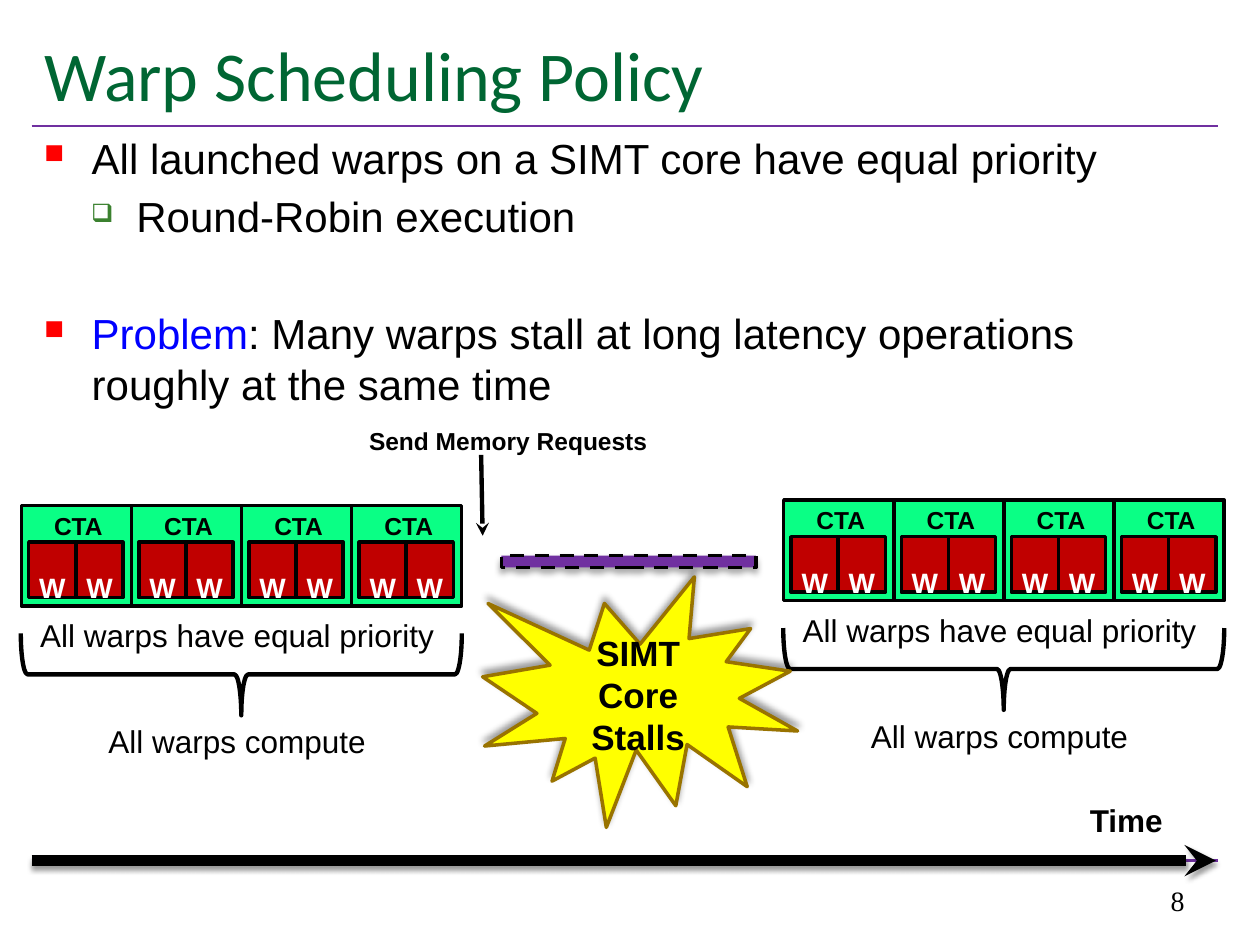
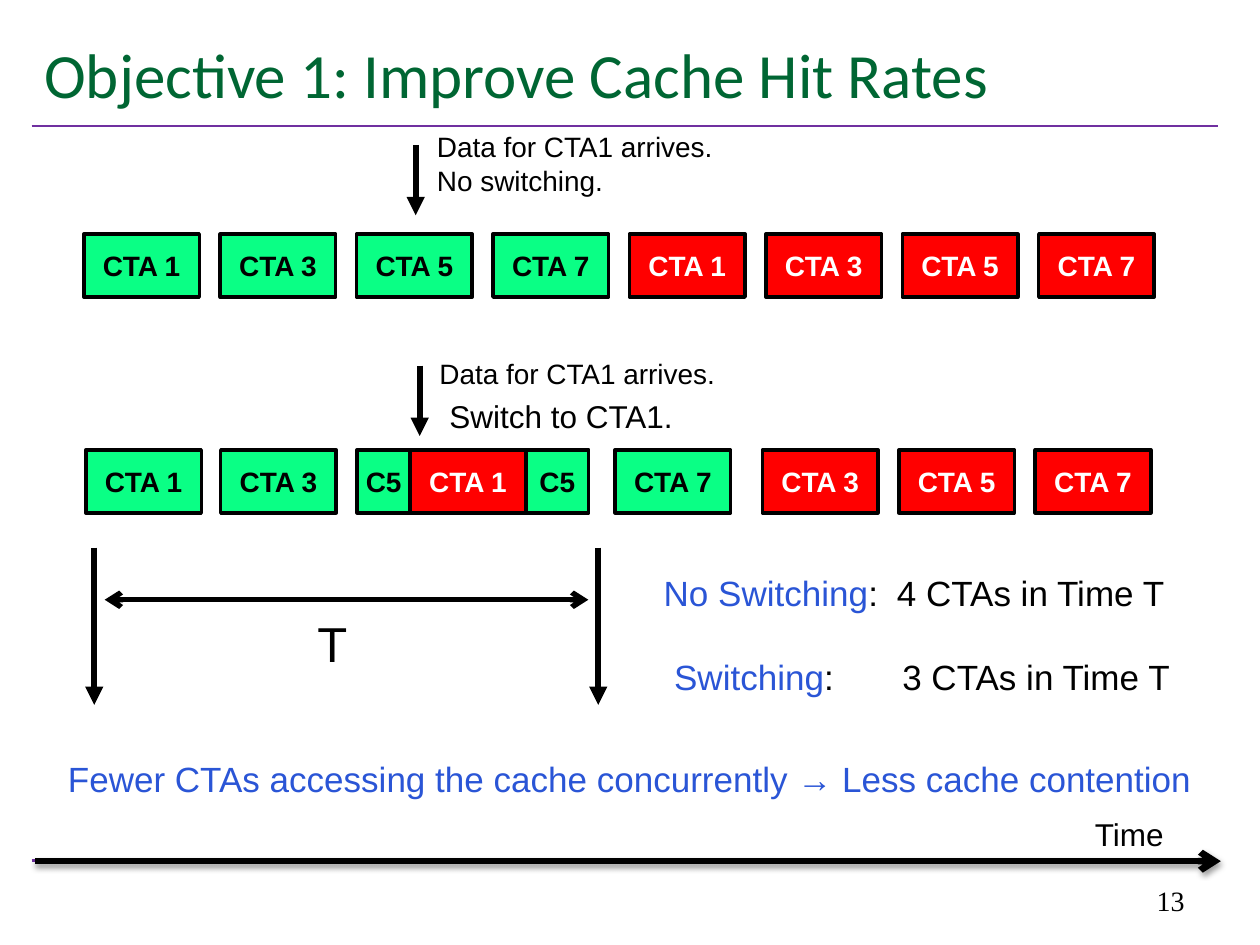
from lxml import etree
from pptx import Presentation
from pptx.dml.color import RGBColor
from pptx.enum.dml import MSO_LINE
from pptx.enum.shapes import MSO_CONNECTOR, MSO_SHAPE
from pptx.enum.text import MSO_ANCHOR, MSO_AUTO_SIZE, PP_ALIGN
from pptx.oxml.ns import qn
from pptx.util import Cm, Pt

RECT, BRACE, BURST = MSO_SHAPE.RECTANGLE, MSO_SHAPE.LEFT_BRACE, MSO_SHAPE.EXPLOSION1
STRAIGHT, DASH = MSO_CONNECTOR.STRAIGHT, MSO_LINE.DASH
LEFT, CENTER, RIGHT = PP_ALIGN.LEFT, PP_ALIGN.CENTER, PP_ALIGN.RIGHT
TOP, MIDDLE, BOTTOM = MSO_ANCHOR.TOP, MSO_ANCHOR.MIDDLE, MSO_ANCHOR.BOTTOM
FIXED = MSO_AUTO_SIZE.NONE

BLACK = RGBColor(0x00, 0x00, 0x00)
WHITE = RGBColor(0xFF, 0xFF, 0xFF)
TITLE_GREEN = RGBColor(0x00, 0x66, 0x33)
PURPLE = RGBColor(0x70, 0x30, 0xA0)
CTA_GREEN = RGBColor(0x0A, 0xFF, 0x85)
WARP_RED = RGBColor(0xC0, 0x00, 0x00)
RED = RGBColor(0xFF, 0x00, 0x00)
BULLET_GREEN = RGBColor(0x3B, 0x81, 0x2F)
PROBLEM_BLUE = RGBColor(0x00, 0x00, 0xFF)
BLUE = RGBColor(0x2A, 0x55, 0xD6)
YELLOW = RGBColor(0xFF, 0xFF, 0x00)
BURST_EDGE = RGBColor(0x99, 0x73, 0x00)


def add_box(slide, place, paragraphs=(), size=18, bold=False, align=LEFT, anchor=TOP,
            inset=0.25, kind=None, fill=None, edge=BLACK, weight=2, font="Arial"):
    lengths = [Cm(value) for value in place]
    if kind is None:
        box = slide.shapes.add_textbox(*lengths)
    else:
        box = slide.shapes.add_shape(kind, *lengths)
        box.shadow.inherit = False
        box.line.color.rgb = edge
        box.line.width = Pt(weight)
        if fill is None:
            box.fill.background()
        else:
            box.fill.solid()
            box.fill.fore_color.rgb = fill
    frame = box.text_frame
    frame.word_wrap = True
    frame.vertical_anchor = anchor
    frame.margin_left = frame.margin_right = Cm(inset)
    frame.margin_top = frame.margin_bottom = Cm(inset / 2)
    for index, runs in enumerate(paragraphs):
        paragraph = frame.add_paragraph() if index else frame.paragraphs[0]
        paragraph.alignment = align
        for text, color in runs:
            run = paragraph.add_run()
            run.text = text
            run.font.name = font
            run.font.size = Pt(size)
            run.font.bold = bold
            run.font.color.rgb = color
    return box


def add_line(slide, x1, y1, x2, y2, weight, color=BLACK, head=None, tail=None):
    line = slide.shapes.add_connector(STRAIGHT, Cm(x1), Cm(y1), Cm(x2), Cm(y2))
    line.line.color.rgb = color
    line.line.width = Pt(weight)
    for end, style in (("a:headEnd", head), ("a:tailEnd", tail)):
        if style:
            etree.SubElement(line.line._get_or_add_ln(), qn(end), type=style)
    etree.SubElement(line.element.spPr, qn("a:effectLst"))
    return line


prs = Presentation()
prs.slide_width, prs.slide_height = Cm(25.4), Cm(19.05)
slides = []
for heading, heading_size, number in (
    ("Warp Scheduling Policy", 40, "8"),
    ("Objective 1: Improve Cache Hit Rates", 36, "13"),
):
    slide = prs.slides.add_slide(prs.slide_layouts[5])
    slides.append(slide)
    for rule_y in (17.35, 2.54):
        add_line(slide, 0.64, rule_y, 24.56, rule_y, 1.5, PURPLE)
    title = slide.shapes.title
    title.left, title.top, title.width, title.height = Cm(0.64), Cm(0.43), Cm(24), Cm(2.11)
    title.text_frame.text = heading
    title.text_frame.auto_size = FIXED
    title.text_frame.vertical_anchor = MIDDLE
    title.text_frame.paragraphs[0].alignment = LEFT
    title_font = title.text_frame.paragraphs[0].runs[0].font
    title_font.name, title_font.size = "Calibri", Pt(heading_size)
    title_font.color.rgb = TITLE_GREEN
    add_box(slide, (18.21, 17.35, 5.92, 1.27), [[(number, BLACK)]], 16,
            align=RIGHT, anchor=BOTTOM, font="Times New Roman")
policy, objective = slides

points = add_box(policy, (0.64, 2.54, 23.93, 7), [
    [("All launched warps on a SIMT core have equal priority", BLACK)],
    [("Round-Robin execution", BLACK)],
    [("Problem", PROBLEM_BLUE),
     (": Many warps stall at long latency operations roughly at the same time", BLACK)],
], 24)
bullets = (
    ("■", RED, 65, 0.96, 0.96, 0),
    ("❑", BULLET_GREEN, 60, 1.86, 0.91, 4.8),
    ("■", RED, 65, 0.96, 0.96, 38),
)
for point, (mark, color, percent, margin, hang, gap) in zip(points.text_frame.paragraphs, bullets):
    point.space_before = Pt(gap)
    props = point._p.get_or_add_pPr()
    props.set("marL", str(Cm(margin)))
    props.set("indent", str(-Cm(hang)))
    bullet_color = etree.SubElement(props, qn("a:buClr"))
    etree.SubElement(bullet_color, qn("a:srgbClr"), val=str(color))
    etree.SubElement(props, qn("a:buSzPct"), val=str(percent * 1000))
    etree.SubElement(props, qn("a:buChar"), char=mark)

for core_x, core_y in ((0.43, 10.19), (15.8, 10.08)):
    for cta in range(4):
        cta_x = core_x + cta * 2.22
        add_box(policy, (cta_x, core_y, 2.22, 2.03), kind=RECT, fill=CTA_GREEN)
        for warp_dx in (1.1, 0.15):
            warp = add_box(policy, (cta_x + warp_dx, core_y + 0.74, 0.95, 1.12), [[("W", WHITE)]],
                           16, True, CENTER, inset=0, kind=RECT, fill=WARP_RED)
            warp.text_frame.margin_top = Cm(0.58)
        add_box(policy, (cta_x + 0.41, core_y - 0.02, 1.52, 0.86), [[("CTA", BLACK)]], 14, True)
    brace = add_box(policy, (core_x + 3.61, core_y - 1.04, 1.65, 8.89), kind=BRACE, weight=2.5)
    brace.rotation = 270
    add_box(policy, (core_x + 0.64, core_y + 4.24, 7.42, 1.02),
            [[("All warps compute", BLACK)]], align=CENTER)
    add_box(policy, (core_x + 0.13, core_y + 2.11, 8.89, 1.02),
            [[("All warps have equal priority", BLACK)]])

add_box(policy, (7.19, 8.46, 6.15, 0.86), [[("Send Memory Requests", BLACK)]], 14, True)
stall = add_box(policy, (9.73, 11.63, 6.35, 5.05), [[("SIMT Core Stalls", BLACK)]], 20, True,
                CENTER, MIDDLE, kind=BURST, fill=YELLOW, edge=BURST_EDGE)
policy_time = add_line(policy, 0.64, 17.35, 24.51, 17.35, 6, tail="stealth")
add_box(policy, (21.72, 16.03, 3.6, 1.02), [[("Time", BLACK)]], bold=True)
add_line(policy, 9.7, 9.17, 9.73, 10.8, 2.5, tail="stealth")
latency = add_box(policy, (10.11, 11.2, 5.13, 0.24), kind=RECT, fill=PURPLE)
latency.line.dash_style = DASH

ctas = ("CTA 1", "CTA 3", "CTA 5", "CTA 7")
schedule = [(1.69 + 2.75 * slot, 4.72, 2.33, ctas[slot % 4], slot > 3) for slot in range(8)]
schedule += [
    (1.73, 9.07, 2.33, "CTA 1", False),
    (4.45, 9.07, 2.33, "CTA 3", False),
    (7.2, 9.07, 1.07, "C5", False),
    (12.4, 9.07, 2.33, "CTA 7", False),
    (8.27, 9.07, 2.33, "CTA 1", True),
    (10.6, 9.07, 1.27, "C5", False),
]
schedule += [(15.37 + 2.75 * slot, 9.07, 2.33, cta, True) for slot, cta in enumerate(ctas[1:])]
for x, y, width, cta, second_round in schedule:
    add_box(objective, (x, y, width, 1.27), [[(cta, WHITE if second_round else BLACK)]], 16, True,
            CENTER, MIDDLE, inset=0, kind=RECT, fill=RED if second_round else CTA_GREEN)

add_box(objective, (8.81, 2.62, 7.26, 1.37),
        [[("Data for CTA1 arrives.", BLACK)], [("No switching.", BLACK)]], 16, inset=0)
add_box(objective, (8.86, 7.19, 8.69, 0.69), [[("Data for CTA1 arrives.", BLACK)]], 16, inset=0)
add_box(objective, (8.81, 7.87, 5.05, 1.02), [[("Switch to CTA1.", BLACK)]])
for x, top, bottom in ((8.38, 2.92, 4.34), (8.46, 7.37, 8.79), (1.9, 11.04, 14.21), (12.06, 11.04, 14.21)):
    add_line(objective, x, top, x, bottom, 3.5, tail="triangle")
add_line(objective, 2.11, 12.09, 11.86, 12.09, 3, head="arrow", tail="arrow")
add_box(objective, (6.15, 12.24, 2.97, 1.45), [[("T", BLACK)]], 28)

for x, y, term, count, stop in (
    (13.13, 11.4, "No Switching", "4 CTAs in Time T", 4.7),
    (13.34, 13.08, "Switching", "3 CTAs in Time T", 4.6),
):
    result = add_box(objective, (x, y, 11.3, 1.12), [[(term, BLUE), (":\t" + count, BLACK)]], 20)
    props = result.text_frame.paragraphs[0]._p.get_or_add_pPr()
    tabs = etree.SubElement(props, qn("a:tabLst"))
    etree.SubElement(tabs, qn("a:tab"), pos=str(Cm(stop)), algn="l")

add_box(objective, (1.12, 15.14, 24.2, 1.12),
        [[("Fewer CTAs accessing the cache concurrently → Less cache contention", BLUE)]], 20)
objective_time = add_line(objective, 0.71, 17.36, 24.61, 17.36, 3.75, tail="arrow")
add_box(objective, (21.82, 16.31, 3.5, 1.02), [[("Time", BLACK)]])

for part, opacity, blur, distance, angle in (
    (stall, 40, 4, 3, 270),
    (policy_time, 38, 3.1, 1.6, 90),
    (latency, 32, 3.5, 2.2, 90),
    (objective_time, 38, 3.1, 1.6, 90),
):
    effects = part.element.spPr.find(qn("a:effectLst"))
    shadow = etree.SubElement(effects, qn("a:outerShdw"), blurRad=str(Pt(blur)),
                              dist=str(Pt(distance)), dir=str(angle * 60000), rotWithShape="0")
    shade = etree.SubElement(shadow, qn("a:srgbClr"), val=str(BLACK))
    etree.SubElement(shade, qn("a:alpha"), val=str(opacity * 1000))

prs.save("out.pptx")
